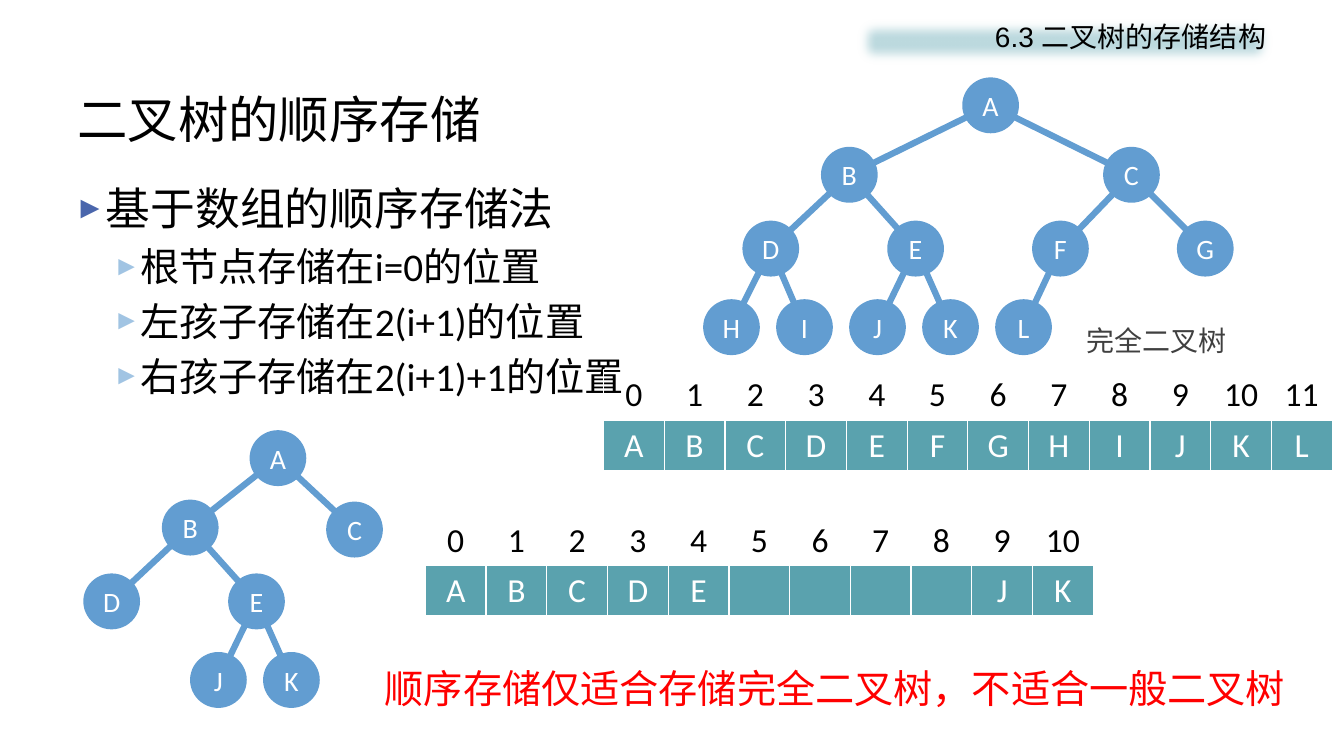
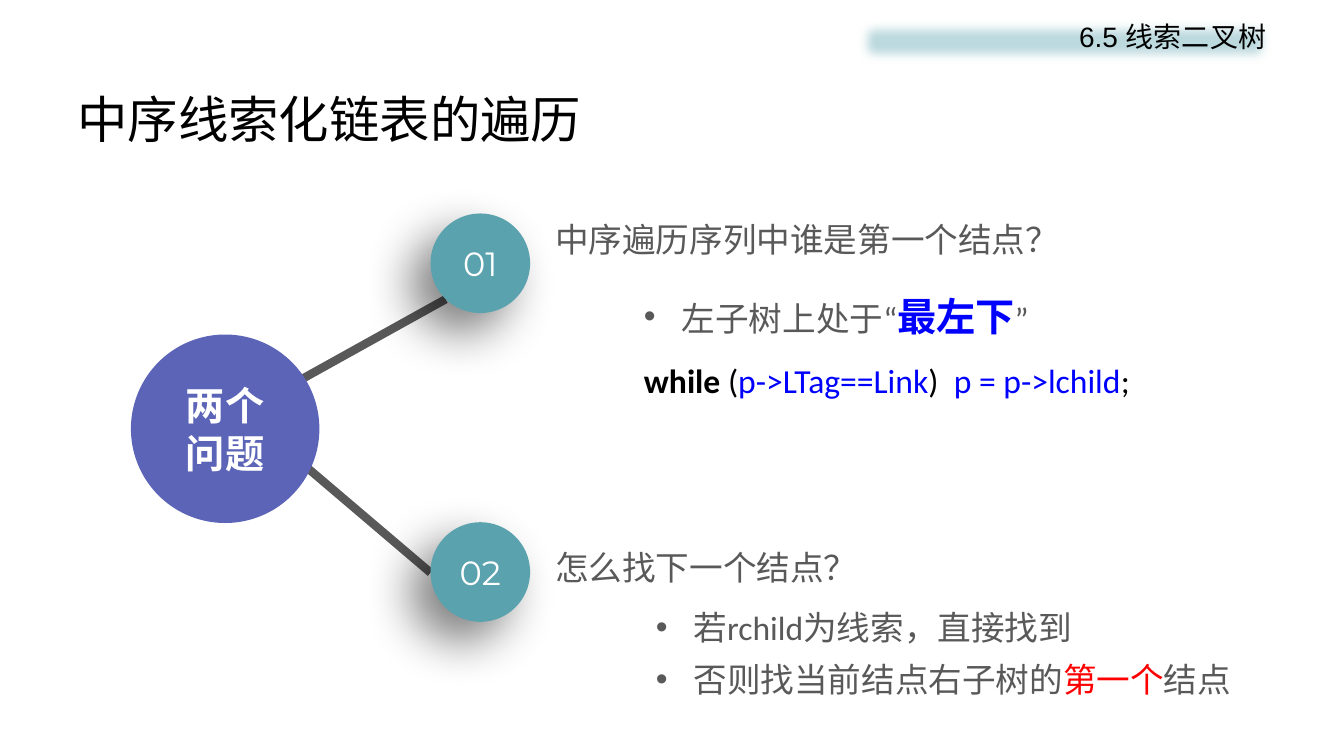
import math
import lxml.etree
import pptx
import pptx.dml.color
import pptx.enum.shapes
import pptx.enum.text
import pptx.oxml.ns
import pptx.util

Cm = pptx.util.Cm
Pt = pptx.util.Pt
RGB = pptx.dml.color.RGBColor
qn = pptx.oxml.ns.qn
SHAPE = pptx.enum.shapes.MSO_SHAPE
ALIGN = pptx.enum.text.PP_ALIGN
ANCHOR = pptx.enum.text.MSO_ANCHOR

BLACK = RGB(0, 0, 0)
WHITE = RGB(255, 255, 255)
RED = RGB(255, 0, 0)
BLUE = RGB(0, 0, 255)
GREY = RGB(0x59, 0x59, 0x59)
DARK = RGB(0x40, 0x40, 0x40)
TEAL = RGB(0x5A, 0xA2, 0xAE)
PALE = RGB(0xBD, 0xDA, 0xDF)
SKY = RGB(0x62, 0x9D, 0xD1)
VIOLET = RGB(0x5C, 0x64, 0xB7)
NAVY = RGB(0x4A, 0x66, 0xAC)
MIST = RGB(0xA1, 0xC4, 0xE3)

NOTO = "Noto Sans CJK SC"
ARIAL = "Arial"
BODY = "Calibri"

ROWS = [0, 1.75, 3.61, 5.59]
NODE = (1.27, 1.25)
FULL = {"A": (6.53, ROWS[0]), "B": (2.97, ROWS[1]), "C": (10.08, ROWS[1])}
FULL.update({k: (0.99 + 3.65 * i, ROWS[2]) for i, k in enumerate("DEFG")})
FULL.update({k: (1.84 * i, ROWS[3]) for i, k in enumerate("HIJKL")})
PART = {k: FULL[k] for k in "ABCDEJK"}
PART.update(A=(5.18, 0), C=(7.11, 1.8))


def add(parent, tag, **attrs):
    return lxml.etree.SubElement(parent, qn(tag), **attrs)


def say(frame, text, size=24, font=BODY, color=BLACK, bold=False, align=None,
        space=None, before=0, level=0, indent=None, mark=None, tint=None, scale=None):
    first = frame.paragraphs[0]
    para = first if not first.runs else frame.add_paragraph()
    para.level = level
    props = para._p.get_or_add_pPr()
    if indent:
        props.set("marL", str(Cm(indent[0])))
        props.set("indent", str(Cm(indent[1])))
    if mark:
        if tint:
            add(add(props, "a:buClr"), "a:srgbClr", val=str(tint))
        if scale:
            add(props, "a:buSzPct", val=str(scale * 1000))
        add(props, "a:buFont", typeface=ARIAL)
        add(props, "a:buChar", char=mark)
    if align:
        para.alignment = align
    if space:
        para.line_spacing = space
    if before:
        para.space_before = Pt(before)
    for part, own in [(text, {})] if isinstance(text, str) else text:
        run = para.add_run()
        run.text = part
        run.font.size = Pt(own.get("size", size))
        run.font.bold = own.get("bold", bold)
        run.font.color.rgb = own.get("color", color)
        run.font.name = font
        add(run._r.get_or_add_rPr(), "a:ea", typeface=font)


def area(slide, x, y, w, h, wrap=True, anchor=ANCHOR.TOP):
    frame = slide.shapes.add_textbox(Cm(x), Cm(y), Cm(w), Cm(h)).text_frame
    frame.word_wrap = wrap
    frame.vertical_anchor = anchor
    return frame


def solid(slide, kind, x, y, w, h, fill, edge=0, wrap=True, anchor=ANCHOR.MIDDLE):
    shape = slide.shapes.add_shape(kind, Cm(x), Cm(y), Cm(w), Cm(h))
    shape.shadow.inherit = False
    shape.fill.solid()
    shape.fill.fore_color.rgb = fill
    if edge:
        shape.line.color.rgb = fill
        shape.line.width = Pt(edge)
    else:
        shape.line.fill.background()
    shape.text_frame.word_wrap = wrap
    shape.text_frame.vertical_anchor = anchor
    return shape


def effect(shape, tag, **attrs):
    return add(shape._element.spPr.find(qn("a:effectLst")), tag, **attrs)


def link(slide, start, end, color, width):
    kind = pptx.enum.shapes.MSO_CONNECTOR.STRAIGHT
    line = slide.shapes.add_connector(kind, *(Cm(v) for v in (*start, *end)))
    line.line.color.rgb = color
    line.line.width = Pt(width)
    add(line._element.spPr, "a:effectLst")


def base(deck, title, topic):
    slide = deck.slides.add_slide(deck.slide_layouts[6])
    say(area(slide, 1.7, 2.03, 30.48, 1.9, anchor=ANCHOR.MIDDLE), title, size=36, font=NOTO)
    band = solid(slide, SHAPE.RECTANGLE, 21.49, 0.36, 10.67, 1.37, PALE, anchor=ANCHOR.TOP)
    effect(band, "a:softEdge", rad=str(Pt(9)))
    say(band.text_frame, topic, size=20, font=ARIAL, align=ALIGN.RIGHT)
    return slide


def tree(slide, left, top, spots):
    w, h = NODE
    mids = {k: (left + x + w / 2, top + y + h / 2) for k, (x, y) in spots.items()}
    for key, (x, y) in mids.items():
        if key != "A":
            px, py = mids["ABCDEF"[(ord(key) - ord("A") - 1) // 2]]
            trim = w / 2 / math.hypot(x - px, y - py)
            dx, dy = (x - px) * trim, (y - py) * trim
            link(slide, (px + dx, py + dy), (x - dx, y - dy), SKY, 4.5)
    for key, (x, y) in spots.items():
        node = solid(slide, SHAPE.OVAL, left + x, top + y, w, h, SKY, edge=4.5, wrap=False)
        say(node.text_frame, key, size=20, color=WHITE, align=ALIGN.CENTER)


def array(slide, left, top, items, col=1.53, row=1.27):
    count = len(items)
    table = slide.shapes.add_table(2, count, Cm(left), Cm(top),
                                   Cm(col * count), Cm(row * 2)).table
    table.first_row = False
    table.horz_banding = False
    for line in table.rows:
        line.height = Cm(row)
    for i, item in enumerate(items):
        table.columns[i].width = Cm(col)
        head, cell = table.cell(0, i), table.cell(1, i)
        head.fill.background()
        cell.fill.solid()
        cell.fill.fore_color.rgb = TEAL
        for box, text, color in ((head, str(i), BLACK), (cell, item.strip(), WHITE)):
            box.vertical_anchor = ANCHOR.MIDDLE
            if text:
                say(box.text_frame, text, color=color, align=ALIGN.CENTER)


def rules(slide, x, y, w, h):
    frame = area(slide, x, y, w, h)
    say(frame, "基于数组的顺序存储法", size=32, indent=(0.71, -0.71),
        mark="►", tint=NAVY, scale=70)
    for text in ("根节点存储在i=0的位置", "左孩子存储在2(i+1)的位置",
                 "右孩子存储在2(i+1)+1的位置"):
        say(frame, text, size=28, level=1, indent=(1.55, -0.58), before=5.6,
            mark="►", tint=MIST, scale=70)


def store(deck):
    slide = base(deck, "二叉树的顺序存储", "6.3 二叉树的存储结构")
    rules(slide, 1.63, 4.42, 14.45, 12.57)
    tree(slide, 17.8, 2.03, FULL)
    array(slide, 15.21, 9.32, "ABCDEFGHIJKL")
    say(area(slide, 27.13, 8.03, 4.06, 1.12, wrap=False), "完全二叉树",
        size=20, font=NOTO, color=DARK)
    tree(slide, 1.19, 10.92, PART)
    array(slide, 10.72, 12.98, "ABCDE    JK")
    say(area(slide, 9.45, 16.61, 23.44, 1.45, wrap=False),
        "顺序存储仅适合存储完全二叉树，不适合一般二叉树", size=28, font=ARIAL, color=RED)


def hub(slide, x, y):
    mid = (x + 2.8, y + 5.01)
    link(slide, mid, (x + 7.55, y + 9.05), GREY, 6)
    link(slide, mid, (x + 7.93, y + 2.16), GREY, 6)
    for text, drop in (("02", 7.78), ("01", 0)):
        dot = solid(slide, SHAPE.OVAL, x + 7.55, y + drop, 2.51, 2.51, TEAL)
        glow = effect(dot, "a:outerShdw", blurRad=str(Pt(35)), dist=str(Pt(20)),
                      dir=str(135 * 60000), algn="tr", rotWithShape="0")
        add(add(glow, "a:srgbClr", val=str(BLACK)), "a:alpha", val="50000")
        say(dot.text_frame, text, font="Montserrat", color=WHITE, align=ALIGN.CENTER)
    disc = solid(slide, SHAPE.OVAL, x, y + 3.05, 4.75, 4.75, VIOLET)
    for text in ("两个", "问题"):
        say(disc.text_frame, text, size=28, font=NOTO, color=WHITE, bold=True,
            align=ALIGN.CENTER, space=Pt(34))


def asks(slide, x, y):
    for text, drop in (("中序遍历序列中谁是第一个结点？", 0), ("怎么找下一个结点？", 8.28)):
        say(area(slide, x, y + drop, 13.46, 1.55), text, font=ARIAL, color=GREY, space=1.5)
    first = area(slide, x + 2.24, y + 1.77, 15.06, 3.58)
    say(first, [("左子树上处于“", {}), ("最左下", dict(size=28, color=BLUE, bold=True)),
                ("”", {})], color=GREY, space=1.5, indent=(0.95, -0.95), mark="•")
    say(first, [("while", dict(bold=True)), (" (", {}), ("p->LTag==Link", dict(color=BLUE)),
                (")  ", {}), ("p = p->lchild", dict(color=BLUE)), (";", {})], space=1.5)
    then = area(slide, x, y + 9.98, 17.63, 2.79)
    for text in ("若rchild为线索，直接找到",
                 [("否则找当前结点右子树的", {}), ("第一个", dict(color=RED)), ("结点", {})]):
        say(then, text, color=GREY, space=1.3, level=2, indent=(3.49, -0.95), mark="•")


def walk(deck):
    slide = base(deck, "中序线索化链表的遍历", "6.5 线索二叉树")
    hub(slide, 3.3, 5.38)
    asks(slide, 13.74, 4.88)


def main():
    deck = pptx.Presentation()
    deck.slide_width = Cm(33.87)
    deck.slide_height = Cm(19.05)
    store(deck)
    walk(deck)
    deck.save("out.pptx")


if __name__ == "__main__":
    main()
